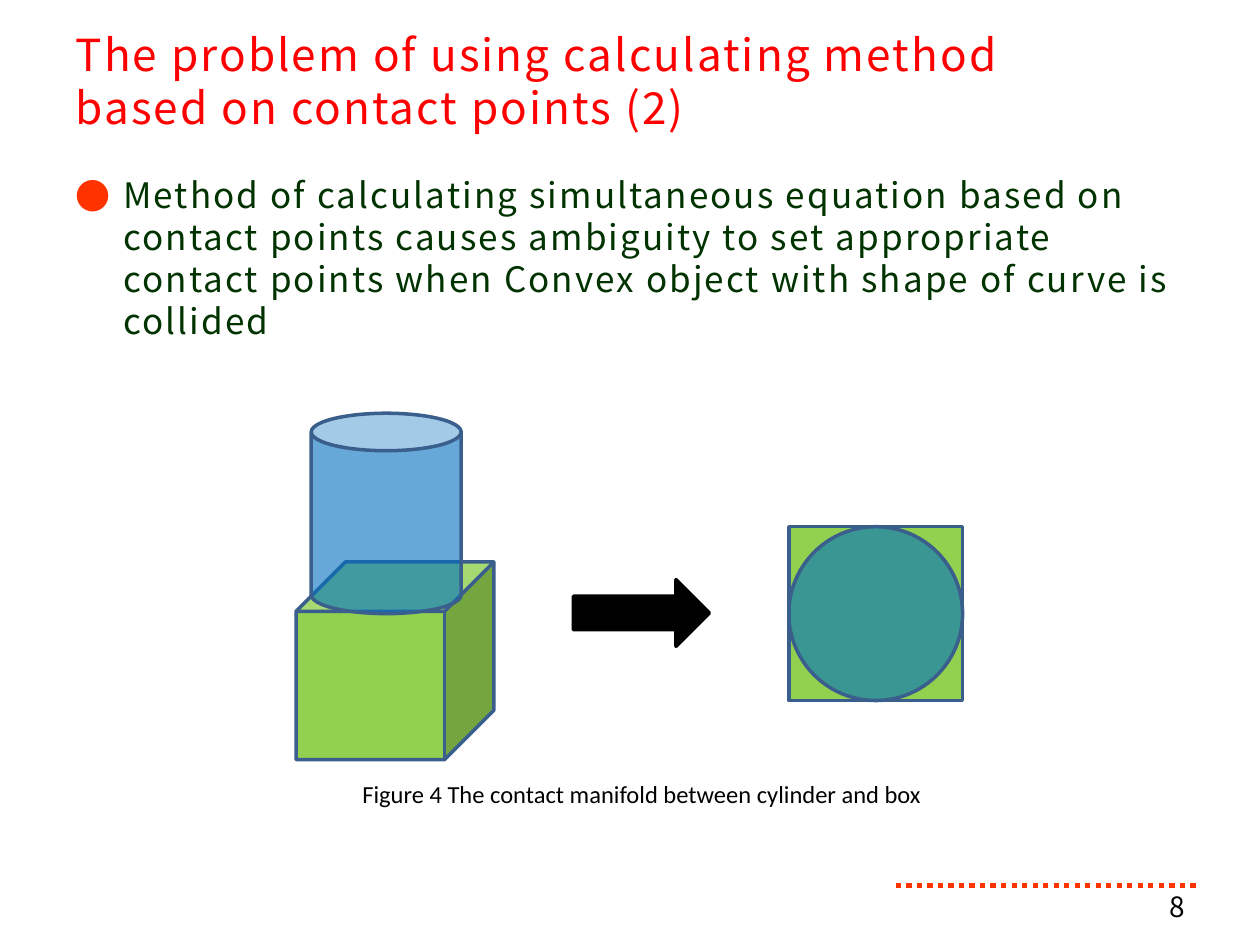
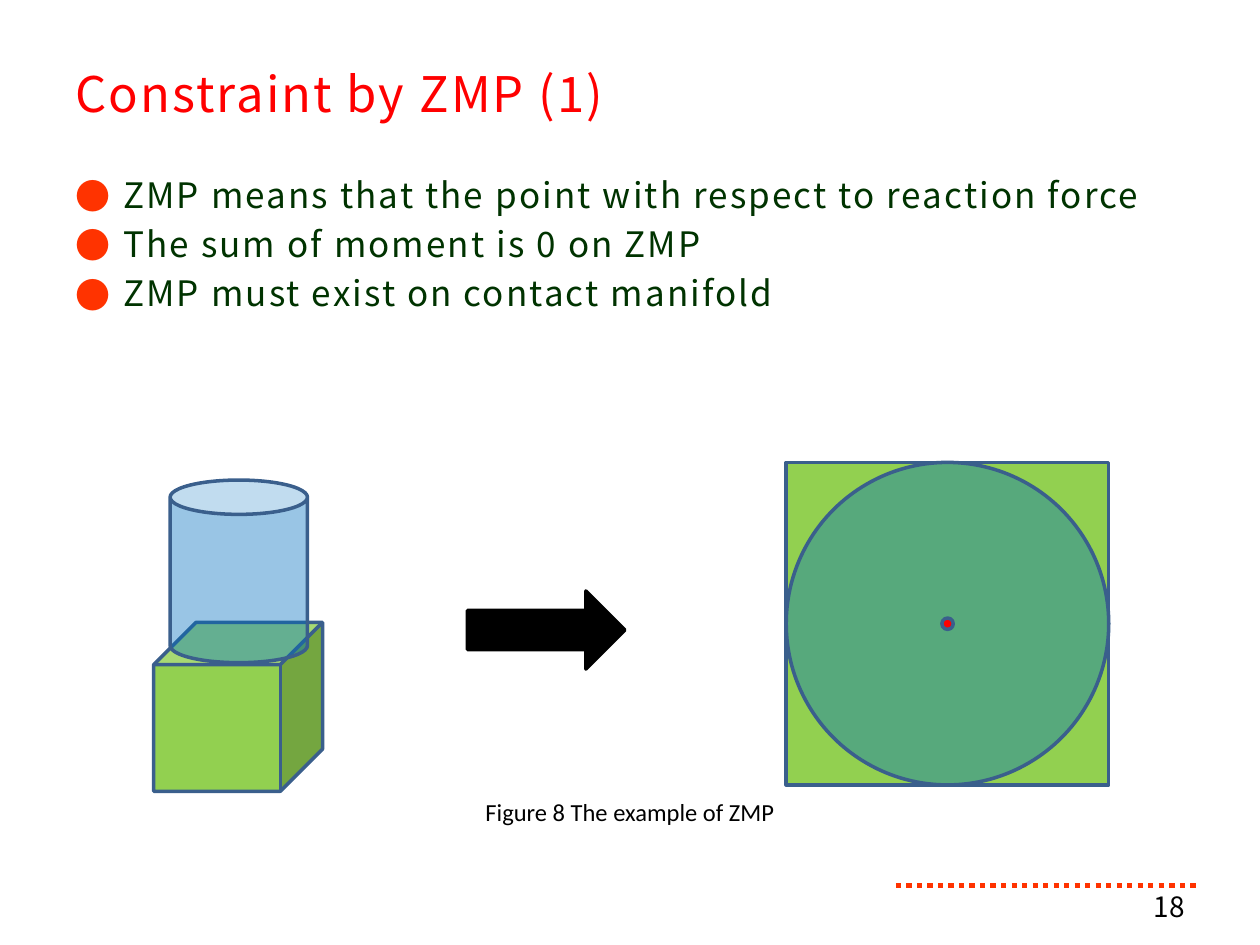
from lxml.etree import SubElement
from pptx import Presentation
from pptx.dml.color import RGBColor
from pptx.enum.dml import MSO_LINE
from pptx.enum.shapes import MSO_CONNECTOR, MSO_SHAPE as SHAPE
from pptx.enum.text import MSO_ANCHOR as ANCHOR, MSO_AUTO_SIZE as AUTO_SIZE, PP_ALIGN as ALIGN
from pptx.oxml.ns import qn
from pptx.util import Inches, Pt

RED = RGBColor(0xFF, 0x00, 0x00)
ORANGE = RGBColor(0xFF, 0x33, 0x00)
DARK_GREEN = RGBColor(0x00, 0x33, 0x00)
LIME = RGBColor(0x92, 0xD0, 0x50)
BLUE = RGBColor(0x00, 0x70, 0xC0)
OUTLINE = RGBColor(0x3A, 0x5F, 0x8C)
BLACK = RGBColor(0x00, 0x00, 0x00)

HEADING_FONT = "Noto Sans CJK JP"
CAPTION_FONT = "Calibri"
WIDTH, HEIGHT = 10, 7.5
MARGIN = 0.05 * WIDTH
CONTENT_WIDTH = WIDTH - 2 * MARGIN
DOT_SIZE = 0.09

# Boxes are (left, top, width, height) in inches; top_view is (left, top, side).
SLIDES = [
    {
        "title": "The problem of using calculating method\nbased on contact points (2)",
        "title_top": 0.21, "title_size": 25.2,
        "bullets": ["Method of calculating simultaneous equation based on contact points "
                    "causes ambiguity to set appropriate contact points when Convex object "
                    "with shape of curve is collided"],
        "body_height": 1.56,
        "box": (2.35, 4.46, 1.57, 1.57), "cylinder": (2.47, 3.28, 1.19, 1.59),
        "arrow": (4.55, 4.6, 1.08, 0.53), "top_view": (6.26, 4.18, 1.38),
        "opacity": 60, "zmp": False,
        "caption": "Figure 4 The contact manifold between cylinder and box",
        "caption_box": (2.77, 6.13, 4.65, 0.34), "number": "8",
    },
    {
        "title": "Constraint by ZMP (1)",
        "title_top": 0.31, "title_size": 28,
        "bullets": ["ZMP means that the point with respect to reaction force",
                    "The sum of moment is 0 on ZMP",
                    "ZMP must exist on contact manifold"],
        "body_height": 1.9,
        "box": (1.22, 4.94, 1.34, 1.34), "cylinder": (1.35, 3.81, 1.09, 1.45),
        "arrow": (3.71, 4.69, 1.25, 0.62), "top_view": (6.24, 3.67, 2.56),
        "opacity": 40, "zmp": True,
        "caption": "Figure 8 The example of ZMP",
        "caption_box": (3.46, 6.28, 3.08, 0.34), "number": "18",
    },
]


def inches(box):
    return [Inches(length) for length in box]


def add_bullet(paragraph):
    properties = paragraph._p.get_or_add_pPr()
    properties.set("marL", str(Inches(0.38)))
    properties.set("indent", str(-Inches(0.38)))
    colour = SubElement(SubElement(properties, qn("a:buClr")), qn("a:srgbClr"))
    colour.set("val", str(ORANGE))
    SubElement(properties, qn("a:buFont")).set("typeface", HEADING_FONT)
    SubElement(properties, qn("a:buChar")).set("char", "●")


def write(shape, paragraphs, size, colour=BLACK, font=HEADING_FONT, align=ALIGN.LEFT,
          anchor=ANCHOR.TOP, spacing=None, line_spacing=None, before=0, bullet=False,
          auto_size=AUTO_SIZE.NONE):
    frame = shape.text_frame
    frame.word_wrap = True
    frame.auto_size = auto_size
    frame.vertical_anchor = anchor
    for index, text in enumerate(paragraphs):
        paragraph = frame.add_paragraph() if index else frame.paragraphs[0]
        paragraph.text = text
        paragraph.alignment = align
        paragraph.space_before = Pt(before)
        if line_spacing:
            paragraph.line_spacing = line_spacing
        if bullet:
            add_bullet(paragraph)
        for run in paragraph.runs:
            run.font.name = font
            run.font.size = Pt(size)
            run.font.color.rgb = colour
            if spacing:
                run._r.get_or_add_rPr().set("spc", str(round(spacing * 100)))


def add_text(slide, box, paragraphs, size, **text_format):
    write(slide.shapes.add_textbox(*inches(box)), paragraphs, size, **text_format)


def add_solid(group, preset, box, fill, line=OUTLINE, opacity=100):
    shape = group.shapes.add_shape(preset, *inches(box))
    shape.shadow.inherit = False
    shape.fill.solid()
    shape.fill.fore_color.rgb = fill
    shape.line.color.rgb = line
    shape.line.width = Pt(2)
    if opacity < 100:
        colour = shape.fill._xPr.find(qn("a:solidFill"))[0]
        SubElement(colour, qn("a:alpha")).set("val", str(opacity * 1000))


def add_footer(slide, number):
    rule = slide.shapes.add_connector(
        MSO_CONNECTOR.STRAIGHT, *inches((7.11, 7.03, 9.53, 7.03)))
    rule.line.color.rgb = ORANGE
    rule.line.width = Pt(3)
    rule.line.dash_style = MSO_LINE.ROUND_DOT
    SubElement(rule._element.spPr, qn("a:effectLst"))
    add_text(slide, (7.17, 7.03, 2.33, 0.32), [number], 16,
             align=ALIGN.RIGHT, anchor=ANCHOR.MIDDLE)


def add_figure(slide, content):
    """Draw the stacked solids, the arrow and their contact seen from above."""
    group = slide.shapes.add_group_shape()
    opacity = content["opacity"]
    left, top, side = content["top_view"]
    square = (left, top, side, side)
    add_solid(group, SHAPE.CUBE, content["box"], LIME)
    add_solid(group, SHAPE.CAN, content["cylinder"], BLUE, opacity=opacity)
    add_solid(group, SHAPE.RIGHT_ARROW, content["arrow"], BLACK, line=BLACK)
    add_solid(group, SHAPE.RECTANGLE, square, LIME)
    add_solid(group, SHAPE.OVAL, square, BLUE, opacity=opacity)
    if content["zmp"]:
        offset = (side - DOT_SIZE) / 2
        add_solid(group, SHAPE.OVAL, (left + offset, top + offset, DOT_SIZE, DOT_SIZE), RED)


def add_slide(presentation, content):
    slide = presentation.slides.add_slide(presentation.slide_layouts[5])
    title = slide.shapes.title
    title.left, title.top, title.width, title.height = inches(
        (MARGIN, content["title_top"], CONTENT_WIDTH, 0.86))
    heading = {"spacing": 1.2, "line_spacing": 1.0}
    write(title, [content["title"]], content["title_size"], colour=RED,
          anchor=ANCHOR.MIDDLE, **heading)
    add_text(slide, (MARGIN, 1.33, CONTENT_WIDTH, content["body_height"]),
             content["bullets"], 20, colour=DARK_GREEN, before=4, bullet=True, **heading)
    add_figure(slide, content)
    add_text(slide, content["caption_box"], [content["caption"]], 14, font=CAPTION_FONT,
             align=ALIGN.CENTER, auto_size=AUTO_SIZE.SHAPE_TO_FIT_TEXT)
    add_footer(slide, content["number"])


def main():
    presentation = Presentation()
    presentation.slide_width, presentation.slide_height = inches((WIDTH, HEIGHT))
    for content in SLIDES:
        add_slide(presentation, content)
    presentation.save("out.pptx")


if __name__ == "__main__":
    main()
